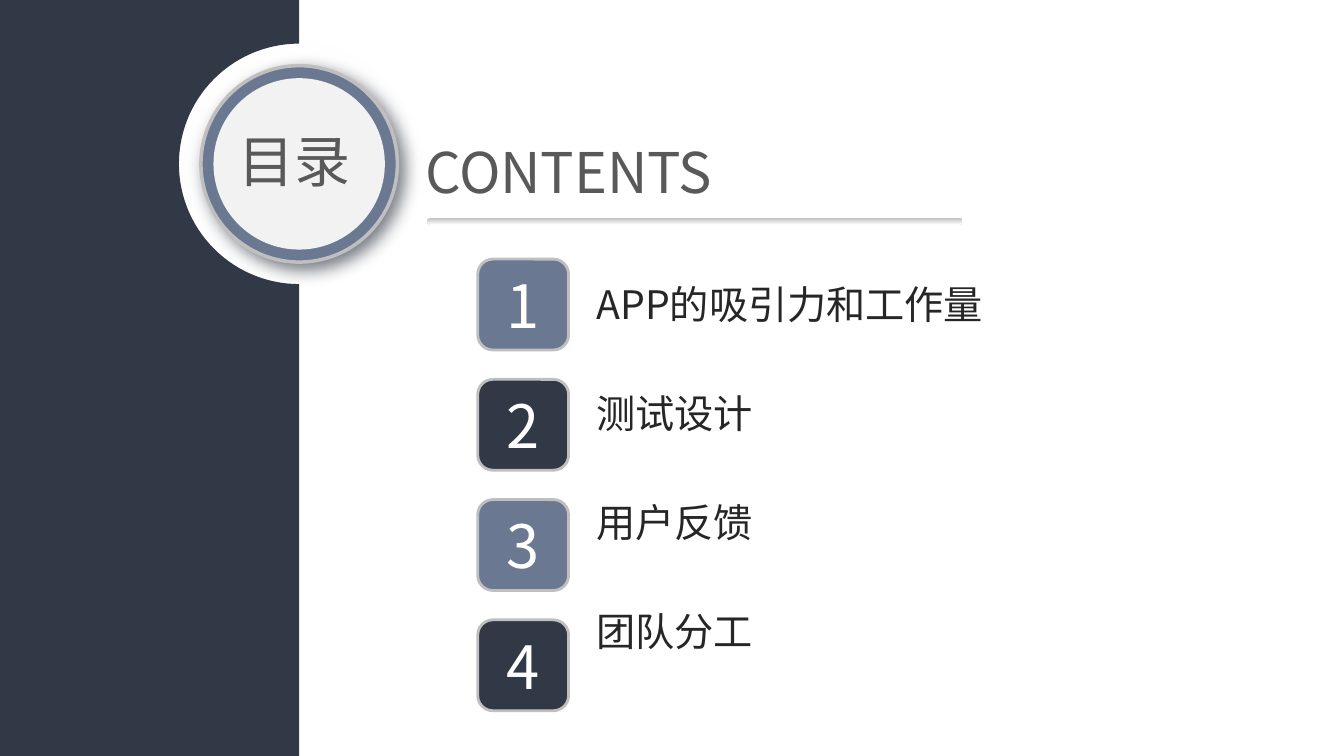
import math
from lxml import etree
from pptx import Presentation
from pptx.dml.color import RGBColor
from pptx.enum.shapes import MSO_SHAPE
from pptx.enum.text import MSO_ANCHOR, MSO_AUTO_SIZE, PP_ALIGN
from pptx.oxml.ns import qn
from pptx.util import Cm, Pt

OVAL, ROUNDED = MSO_SHAPE.OVAL, MSO_SHAPE.ROUNDED_RECTANGLE
TOP, MIDDLE = MSO_ANCHOR.TOP, MSO_ANCHOR.MIDDLE
LEFT, CENTER = PP_ALIGN.LEFT, PP_ALIGN.CENTER
NO_AUTOFIT = MSO_AUTO_SIZE.NONE

FONT = "Noto Sans CJK SC"
NAVY, SLATE, SILVER = "313846", "6A7991", "BFBFBF"
WHITE, PALE, GRAY, INK = "FFFFFF", "F2F2F2", "595959", "262626"
TOPICS = ["APP的吸引力和工作量", "测试设计", "用户反馈", "团队分工"]


def color(value):
    return RGBColor.from_string(value)


def write(shape, lines, size=28, ink=INK, align=LEFT, anchor=TOP, gap=0):
    frame = shape.text_frame
    frame.word_wrap = True
    frame.auto_size = NO_AUTOFIT
    frame.vertical_anchor = anchor
    for index, line in enumerate(lines):
        para = frame.add_paragraph() if index else frame.paragraphs[0]
        para.alignment = align
        para.line_spacing = 1.0
        para.space_before = Pt(0)
        para.space_after = Pt(gap)
        span = para.add_run()
        span.text = line
        span.font.size = Pt(size)
        span.font.name = FONT
        span.font.color.rgb = color(ink)
        etree.SubElement(span.font._element, qn("a:ea"), typeface=FONT)


class ContentsPage:
    def __init__(self, deck):
        self.page = deck.slides.add_slide(deck.slide_layouts[1])

    def paint(self, shape, fill, line=None, line_width=2):
        shape.shadow.inherit = False
        if isinstance(fill, tuple):
            shape.fill.gradient()
            shape.fill.gradient_angle = 270
            for stop, value in zip(shape.fill.gradient_stops, fill):
                stop.color.rgb = color(value)
        else:
            shape.fill.solid()
            shape.fill.fore_color.rgb = color(fill)
        if line:
            shape.line.color.rgb = color(line)
            shape.line.width = Pt(line_width)
        else:
            shape.line.fill.background()
        return shape

    def shape(self, kind, left, top, width, height, fill, **style):
        box = self.page.shapes.add_shape(
            kind, Cm(left), Cm(top), Cm(width), Cm(height))
        return self.paint(box, fill, **style)

    def circle(self, center_x, center_y, diameter, fill, **style):
        radius = diameter / 2
        return self.shape(OVAL, center_x - radius, center_y - radius,
                          diameter, diameter, fill, **style)

    def notched_panel(self, width, height, center_y, radius):
        angles = [math.radians(90 + 3 * step) for step in range(61)]
        arc = [(Cm(width + radius * math.cos(angle)),
                Cm(center_y - radius * math.sin(angle))) for angle in angles]
        outline = self.page.shapes.build_freeform(0, 0)
        outline.add_line_segments(
            [(Cm(width), 0), *arc, (Cm(width), Cm(height)), (0, Cm(height))])
        return self.paint(outline.convert_to_shape(), NAVY)

    def effect(self, shape, name, **values):
        effects = shape._element.spPr.find(qn("a:effectLst"))
        return etree.SubElement(effects, qn("a:" + name), **values)

    def shadow(self, shape, value, opacity):
        shadow = self.effect(shape, "outerShdw", blurRad=str(Pt(12)),
                             dist=str(Pt(6)), dir="2700000", algn="tl",
                             rotWithShape="0")
        tint = etree.SubElement(shadow, qn("a:srgbClr"), val=value)
        etree.SubElement(tint, qn("a:alpha"), val=str(opacity * 1000))

    def label(self, left, top, width, height, text, **style):
        box = self.page.shapes.add_textbox(
            Cm(left), Cm(top), Cm(width), Cm(height))
        write(box, [text], **style)

    def placeholder(self, index, left, top, width, height, lines, **style):
        box = self.page.placeholders[index]
        box.left, box.top = Cm(left), Cm(top)
        box.width, box.height = Cm(width), Cm(height)
        write(box, lines, **style)
        for para in box.text_frame.paragraphs:
            settings = para._p.get_or_add_pPr()
            settings.set("marL", "0")
            settings.set("indent", "0")
            etree.SubElement(settings, qn("a:buNone"))


def main():
    deck = Presentation()
    deck.slide_width, deck.slide_height = Cm(33.87), Cm(19.05)
    contents = ContentsPage(deck)

    panel_width, badge_y = 7.54, 4.13
    contents.notched_panel(panel_width, 19.05, badge_y, 3.03)
    halo = contents.circle(panel_width, badge_y, 6.63, (WHITE, SILVER))
    contents.effect(halo, "softEdge", rad=str(Pt(25)))
    ring = contents.circle(panel_width, badge_y, 4.95, SLATE,
                           line=SILVER, line_width=2.5)
    contents.shadow(ring, "353C48", 64)
    contents.circle(panel_width, badge_y, 4.32, PALE)
    contents.label(5.08, 3.07, 4.7, 1.96, "目录",
                   size=40, ink=GRAY, align=CENTER)

    contents.placeholder(0, 10.46, 3.35, 11.79, 1.96, ["CONTENTS"],
                         size=40, ink=GRAY)
    underline = contents.shape(ROUNDED, 10.77, 5.49, 13.49, 0.18,
                               (SILVER, WHITE))
    underline.adjustments[0] = 0.5

    contents.placeholder(1, 14.78, 6.93, 13.26, 11.5, TOPICS, gap=44.4)
    for index in range(len(TOPICS)):
        tile = contents.shape(ROUNDED, 12.04, 6.53 + 3.03 * index, 2.29, 2.29,
                              NAVY if index % 2 else SLATE, line=SILVER)
        write(tile, [str(index + 1)], size=42.6, ink=WHITE,
              align=CENTER, anchor=MIDDLE)

    deck.save("out.pptx")


if __name__ == "__main__":
    main()
